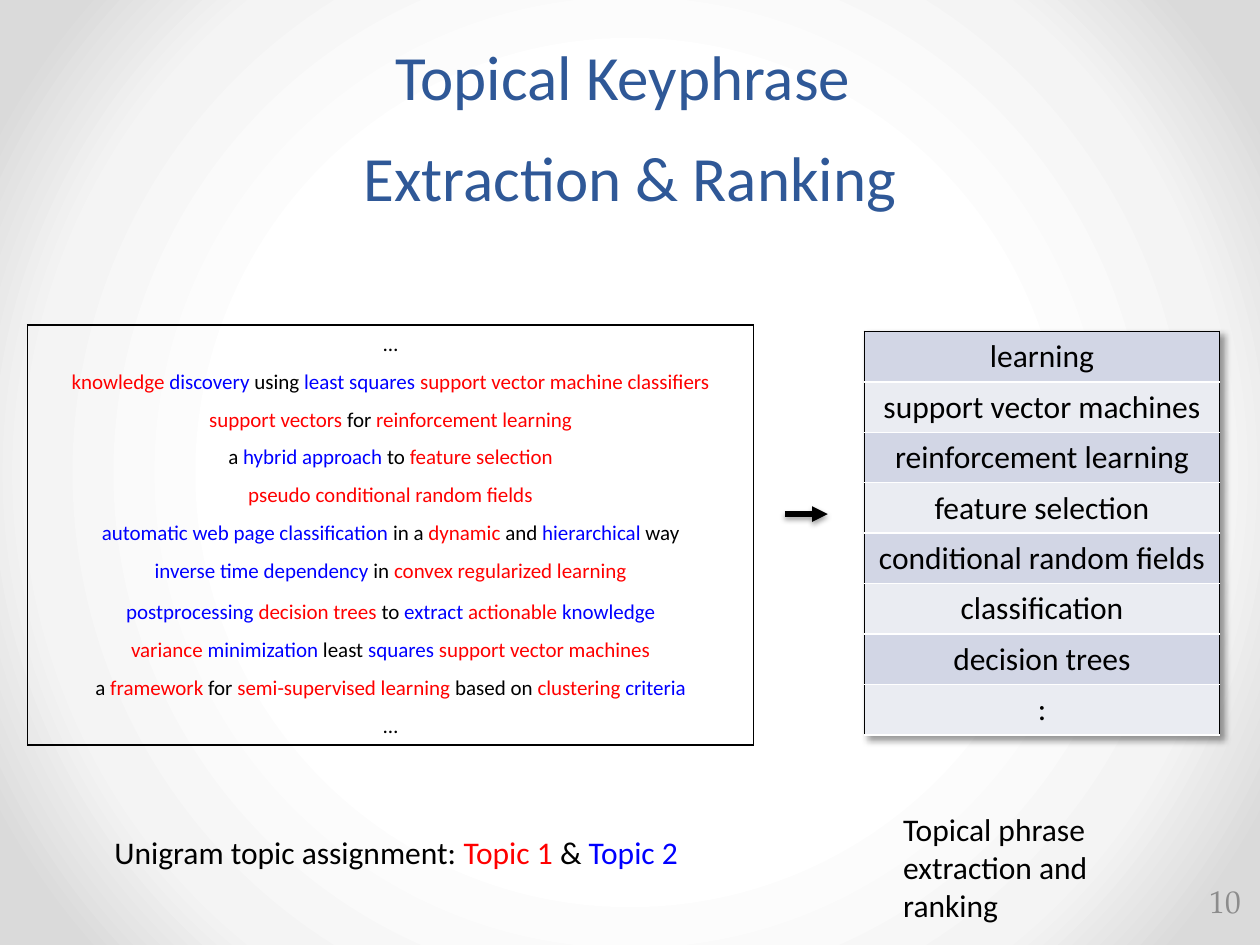
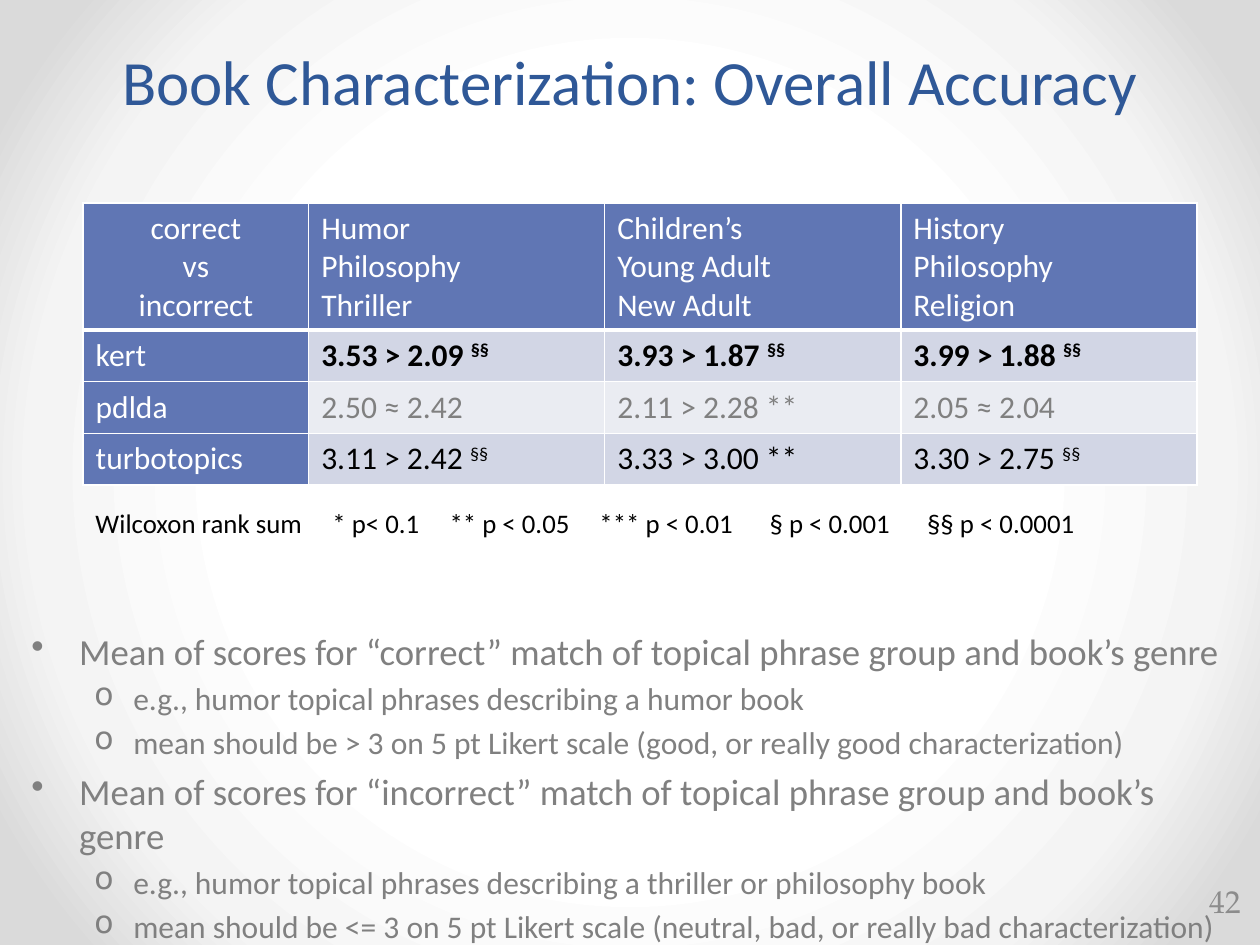
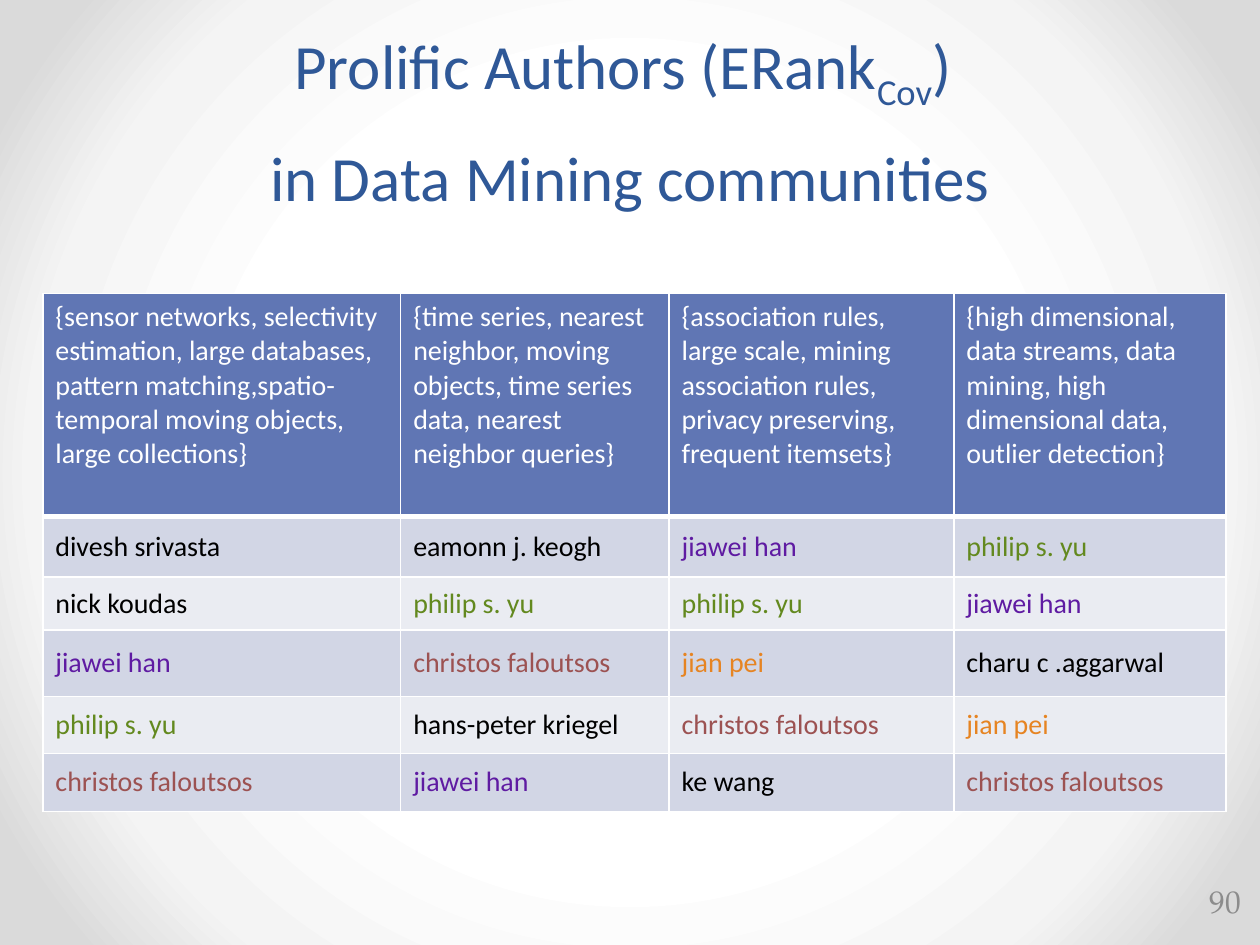
from lxml.etree import SubElement
from pptx import Presentation
from pptx.dml.color import RGBColor
from pptx.enum.shapes import MSO_CONNECTOR
from pptx.enum.text import MSO_ANCHOR, PP_ALIGN
from pptx.oxml import parse_xml
from pptx.oxml.ns import nsdecls, qn
from pptx.util import Inches, Pt

HUES = {
    "title": "2F5897", "head": "6076B4", "band": "D2D6E5", "pale": "EAECF2",
    "black": "000000", "white": "FFFFFF", "gray": "808080", "page": "8C8C8C",
    "red": "FF0000", "blue": "0000FF",
    "purple": "5F1BA2", "green": "63891F", "brown": "9C5252", "orange": "E68422",
}
STOPS = [(50, "FFFFFF"), (76, "F4F4F4"), (92, "DADADA")]
FACE = "Calibri"
NO_STYLE = "{2D5ABB26-0587-4C30-8999-92F81FD0307C}"
THIN, THICK = 1, 3

PHRASES = [
    "learning", "support vector machines", "reinforcement learning",
    "feature selection", "conditional random fields", "classification",
    "decision trees", ":",
]
PAPERS = [
    "…",
    [("knowledge ", "red"), ("discovery", "blue"), (" using ",),
     ("least squares ", "blue"), ("support vector machine classifiers", "red")],
    [("support vectors ", "red"), ("for ",), ("reinforcement learning", "red")],
    [("a ",), ("hybrid approach ", "blue"), ("to ",), ("feature selection", "red")],
    [("pseudo conditional random fields", "red")],
    [("automatic web page classification ", "blue"), ("in a ",), ("dynamic", "red"),
     (" and ",), ("hierarchical", "blue"), (" way",)],
    [("inverse time dependency", "blue"), (" in ",),
     ("convex regularized learning", "red")],
    [("postprocessing ", "blue"), ("decision trees ", "red"), ("to ",),
     ("extract ", "blue"), ("actionable ", "red"), ("knowledge", "blue")],
    [("variance ", "red"), ("minimization ", "blue"), ("least ",),
     ("squares ", "blue"), ("support vector machines", "red")],
    [("a ",), ("framework", "red"), (" for ",), ("semi-supervised learning ", "red"),
     ("based on ",), ("clustering ", "red"), ("criteria", "blue")],
    "…",
]
TOPICS = [("Unigram topic assignment: ",), ("Topic 1 ", "red"), ("& ",),
          ("Topic 2", "blue")]

GENRES = [
    ["correct", "vs", "incorrect"],
    ["Humor", "Philosophy", "Thriller"],
    ["Children’s", "Young Adult", "New Adult"],
    ["History", "Philosophy", "Religion"],
]
SCORES = [
    ("kert", "black", True, [("3.53 > 2.09 ", "§§"), ("3.93 > 1.87 ", "§§"),
                             ("3.99 > 1.88 ", "§§")]),
    ("pdlda", "gray", False, [("2.50 ≈ 2.42", ""), ("2.11 > 2.28 **", ""),
                              ("2.05 ≈ 2.04", "")]),
    ("turbotopics", "black", False, [("3.11 > 2.42 ", "§§"), ("3.33 > 3.00 **", ""),
                                     ("3.30 > 2.75 ", "§§")]),
]
LEVELS = ["Wilcoxon rank sum", "* p< 0.1", "** p < 0.05", "*** p < 0.01",
          "§ p < 0.001", "§§ p < 0.0001"]
TABS = [1.88, 2.81, 4, 5.35, 6.6]
POINTS = [
    (0, "Mean of scores for “correct” match of topical phrase group and book’s genre"),
    (1, "e.g., humor topical phrases describing a humor book"),
    (1, "mean should be > 3 on 5 pt Likert scale (good, or really good characterization)"),
    (0, "Mean of scores for “incorrect” match of topical phrase group and book’s genre"),
    (1, "e.g., humor topical phrases describing a thriller or philosophy book"),
    (1, "mean should be <= 3 on 5 pt Likert scale (neutral, bad, or really bad characterization)"),
]
BULLETS = [("•", 0.38, 0.38, 21), ("o", 0.81, 0.31, 18)]

GROUPS = [
    "{sensor networks, selectivity estimation, large databases, pattern matching,spatio- temporal moving objects, large collections}",
    "{time series, nearest neighbor, moving objects, time series data, nearest neighbor queries}",
    "{association rules, large scale, mining association rules, privacy preserving, frequent itemsets}",
    "{high dimensional, data streams, data mining, high dimensional data, outlier detection}",
]
AUTHORS = [
    ["divesh srivasta", "eamonn j. keogh", "jiawei han", "philip s. yu"],
    ["nick koudas", "philip s. yu", "philip s. yu", "jiawei han"],
    ["jiawei han", "christos faloutsos", "jian pei", "charu c .aggarwal"],
    ["philip s. yu", "hans-peter kriegel", "christos faloutsos", "jian pei"],
    ["christos faloutsos", "jiawei han", "ke wang", "christos faloutsos"],
]
MARKS = {"jiawei han": "purple", "philip s. yu": "green",
         "christos faloutsos": "brown", "jian pei": "orange"}


def rgb(hue):
    return RGBColor.from_string(HUES[hue])


def fill_par(par, runs, size, hue="black", align=None, bold=None, face=FACE):
    par.alignment = align
    font = par.font
    font.name, font.size, font.bold = face, Pt(size), bold
    font.color.rgb = rgb(hue)
    for text, *look in [(runs,)] if isinstance(runs, str) else runs:
        for i, part in enumerate(text.split("\n")):
            if i:
                par.add_line_break()
            run = par.add_run()
            run.text = part
            if look and look[0]:
                run.font.color.rgb = rgb(look[0])
            if len(look) > 1:
                run._r.get_or_add_rPr().set("baseline", str(look[1] * 1000))


def pars(frame, count):
    return [frame.paragraphs[0]] + [frame.add_paragraph() for _ in range(count - 1)]


def write(frame, lines, size, **look):
    for par, runs in zip(pars(frame, len(lines)), lines):
        fill_par(par, runs, size, **look)


def add_box(slide, spot, anchor=MSO_ANCHOR.TOP):
    frame = slide.shapes.add_textbox(*map(Inches, spot)).text_frame
    frame.word_wrap = True
    frame.vertical_anchor = anchor
    return frame


def add_shadow(node, blur, dist, angle, alpha, first=False):
    effect = parse_xml(
        f'<a:effectLst {nsdecls("a")}><a:outerShdw blurRad="{Pt(blur)}" dist="{Pt(dist)}" '
        f'dir="{angle * 60000}" algn="tl" rotWithShape="0"><a:srgbClr val="{HUES["black"]}">'
        f'<a:alpha val="{alpha * 1000}"/></a:srgbClr></a:outerShdw></a:effectLst>')
    if first:
        node.insert(0, effect)
    else:
        node.append(effect)


def add_edge(cell, side, line):
    node = SubElement(cell._tc.get_or_add_tcPr(), qn(f"a:ln{side}"))
    if line is None:
        node.set("w", "0")
        SubElement(node, qn("a:noFill"))
        return
    hue, width = line
    node.set("w", str(Pt(width)))
    solid = SubElement(node, qn("a:solidFill"))
    SubElement(solid, qn("a:srgbClr")).set("val", HUES[hue])


def add_grid(slide, left, top, cols, rows, side, lines):
    shape = slide.shapes.add_table(len(rows), len(cols), Inches(left), Inches(top),
                                   Inches(sum(cols)), Inches(sum(rows)))
    table = shape.table
    table.first_row = table.horz_banding = False
    table._tbl.tblPr.find(qn("a:tableStyleId")).text = NO_STYLE
    for col, width in zip(table.columns, cols):
        col.width = Inches(width)
    for r, height in enumerate(rows):
        table.rows[r].height = Inches(height)
        for c in range(len(cols)):
            edges = (side, side, lines[r], lines[r + 1])
            for name, line in zip("LRTB", edges):
                add_edge(table.cell(r, c), name, line)
    return table


def head_lines(count):
    thin = ("white", THIN)
    return [thin, ("white", THICK)] + [thin] * (count - 1)


def paint(cell, hue):
    cell.fill.solid()
    cell.fill.fore_color.rgb = rgb(hue)


def band(row):
    return "pale" if row % 2 else "band"


def add_slide(deck, title, height, page):
    slide = deck.slides.add_slide(deck.slide_layouts[6])
    slide.background.fill.gradient()
    grad = next(slide.element.iter(qn("a:gradFill")))
    for node in list(grad):
        grad.remove(node)
    stops = SubElement(grad, qn("a:gsLst"))
    for place, hue in STOPS:
        stop = SubElement(stops, qn("a:gs"), pos=str(place * 1000))
        SubElement(stop, qn("a:srgbClr"), val=hue)
    ring = SubElement(grad, qn("a:path"), path="circle")
    SubElement(ring, qn("a:fillToRect"), dict.fromkeys("ltrb", "50000"))
    frame = add_box(slide, (0.5, 0, 9, height), MSO_ANCHOR.BOTTOM)
    write(frame, [title], 36, hue="title", align=PP_ALIGN.CENTER)
    frame.paragraphs[0].line_spacing = Pt(58)
    frame = add_box(slide, (9.34, 6.95, 0.61, 0.4), MSO_ANCHOR.MIDDLE)
    write(frame, [page], 18, hue="page", align=PP_ALIGN.RIGHT, face="TeX Gyre Pagella")
    return slide


def add_ranking(deck):
    slide = add_slide(deck, "Topical Keyphrase \nExtraction & Ranking", 1.75, "10")
    rim, rule = ("black", THIN), ("white", THIN)

    count = len(PHRASES)
    table = add_grid(slide, 6.86, 2.63, [2.82], [0.4] * count, rim, [rim] + [rule] * count)
    add_shadow(table._tbl.tblPr, 4, 3, 45, 40, first=True)
    for r, phrase in enumerate(PHRASES):
        cell = table.cell(r, 0)
        paint(cell, band(r))
        write(cell.text_frame, [phrase], 18, align=PP_ALIGN.CENTER)

    count = len(PAPERS)
    rows = [0.33 if r == 6 else 0.3 for r in range(count)]
    table = add_grid(slide, 0.22, 2.58, [5.76], rows, rim,
                     [rim] + [None] * (count - 1) + [rim])
    for r, paper in enumerate(PAPERS):
        write(table.cell(r, 0).text_frame, [paper], 12, align=PP_ALIGN.CENTER)

    arrow = slide.shapes.add_connector(MSO_CONNECTOR.STRAIGHT, Inches(6.23), Inches(4.08),
                                       Inches(6.57), Inches(4.08))
    arrow.line.color.rgb = rgb("black")
    arrow.line.width = Pt(3)
    SubElement(arrow.line._get_or_add_ln(), qn("a:tailEnd"), type="triangle")
    add_shadow(arrow._element.spPr, 3.1, 1.6, 90, 38)

    write(add_box(slide, (0.81, 6.56, 5.17, 0.4)), [TOPICS], 18)
    write(add_box(slide, (7.07, 6.38, 2.43, 0.71)),
          ["Topical phrase", "extraction and ranking"], 18)


def add_scores(deck):
    slide = add_slide(deck, "Book Characterization: Overall Accuracy", 0.99, "42")
    table = add_grid(slide, 0.66, 1.61, [1.79] + [2.35] * 3, [1.01] + [0.41] * 3,
                     ("white", THIN), head_lines(4))
    for c, genres in enumerate(GENRES):
        cell = table.cell(0, c)
        paint(cell, "head")
        write(cell.text_frame, genres, 18, hue="white",
              align=PP_ALIGN.LEFT if c else PP_ALIGN.CENTER)
    for r, (method, hue, bold, scores) in enumerate(SCORES):
        cell = table.cell(r + 1, 0)
        paint(cell, "head")
        write(cell.text_frame, [method], 18, hue="white")
        for c, (score, sign) in enumerate(scores, 1):
            cell = table.cell(r + 1, c)
            paint(cell, band(r))
            runs = [(score,), (sign, None, 30)] if sign else score
            write(cell.text_frame, [runs], 18, hue=hue, bold=bold)

    par = add_box(slide, (0.66, 3.97, 8.84, 0.51)).paragraphs[0]
    tabs = SubElement(par._p.get_or_add_pPr(), qn("a:tabLst"))
    for tab in TABS:
        SubElement(tabs, qn("a:tab"), pos=str(Inches(tab)), algn="l")
    fill_par(par, "\t".join(LEVELS), 15.3)

    frame = add_box(slide, (0.15, 4.94, 9.81, 2.42))
    for i, (par, (level, text)) in enumerate(zip(pars(frame, len(POINTS)), POINTS)):
        sign, left, hang, size = BULLETS[level]
        par.level = level
        props = par._p.get_or_add_pPr()
        props.set("marL", str(Inches(left)))
        props.set("indent", str(-Inches(hang)))
        SubElement(props, qn("a:buChar"), char=sign)
        fill_par(par, text, size, hue="gray")
        if i:
            par.space_before = Pt(size * 0.2)


def add_authors(deck):
    title = [("Prolific Authors (ERank",), ("Cov", None, -25),
             (") \nin Data Mining communities",)]
    slide = add_slide(deck, title, 1.75, "90")
    table = add_grid(slide, 0.34, 2.33, [2.84, 2.13, 2.26, 2.16],
                     [1.77, 0.48, 0.42, 0.53, 0.45, 0.46], ("white", THIN), head_lines(6))
    for c, group in enumerate(GROUPS):
        cell = table.cell(0, c)
        paint(cell, "head")
        write(cell.text_frame, [group], 16, hue="white")
    for r, names in enumerate(AUTHORS):
        for c, name in enumerate(names):
            cell = table.cell(r + 1, c)
            paint(cell, band(r))
            cell.vertical_anchor = MSO_ANCHOR.MIDDLE
            write(cell.text_frame, [name], 16, hue=MARKS.get(name, "black"))


def main():
    deck = Presentation()
    deck.slide_width, deck.slide_height = Inches(10), Inches(7.5)
    add_ranking(deck)
    add_scores(deck)
    add_authors(deck)
    deck.save("out.pptx")


if __name__ == "__main__":
    main()
